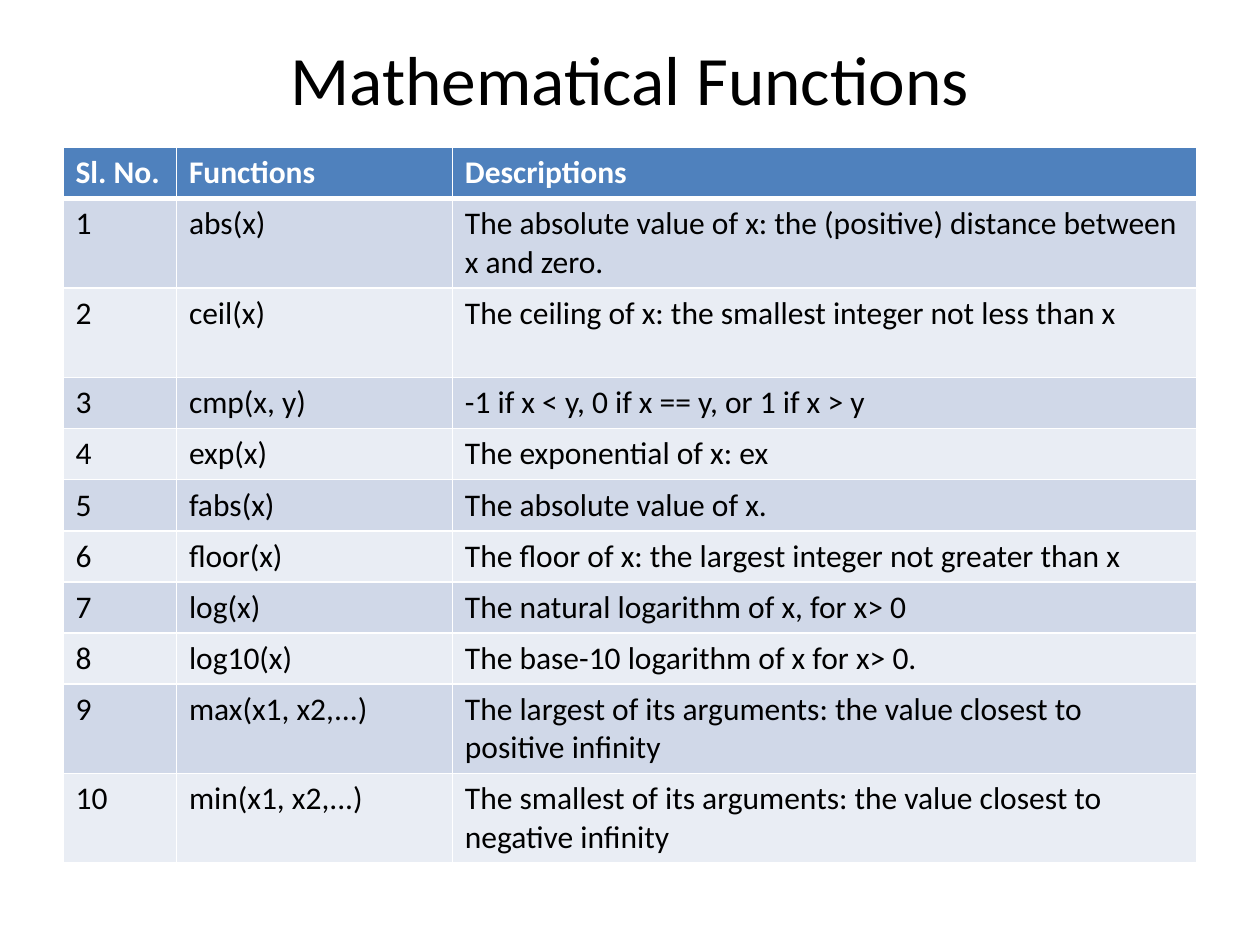
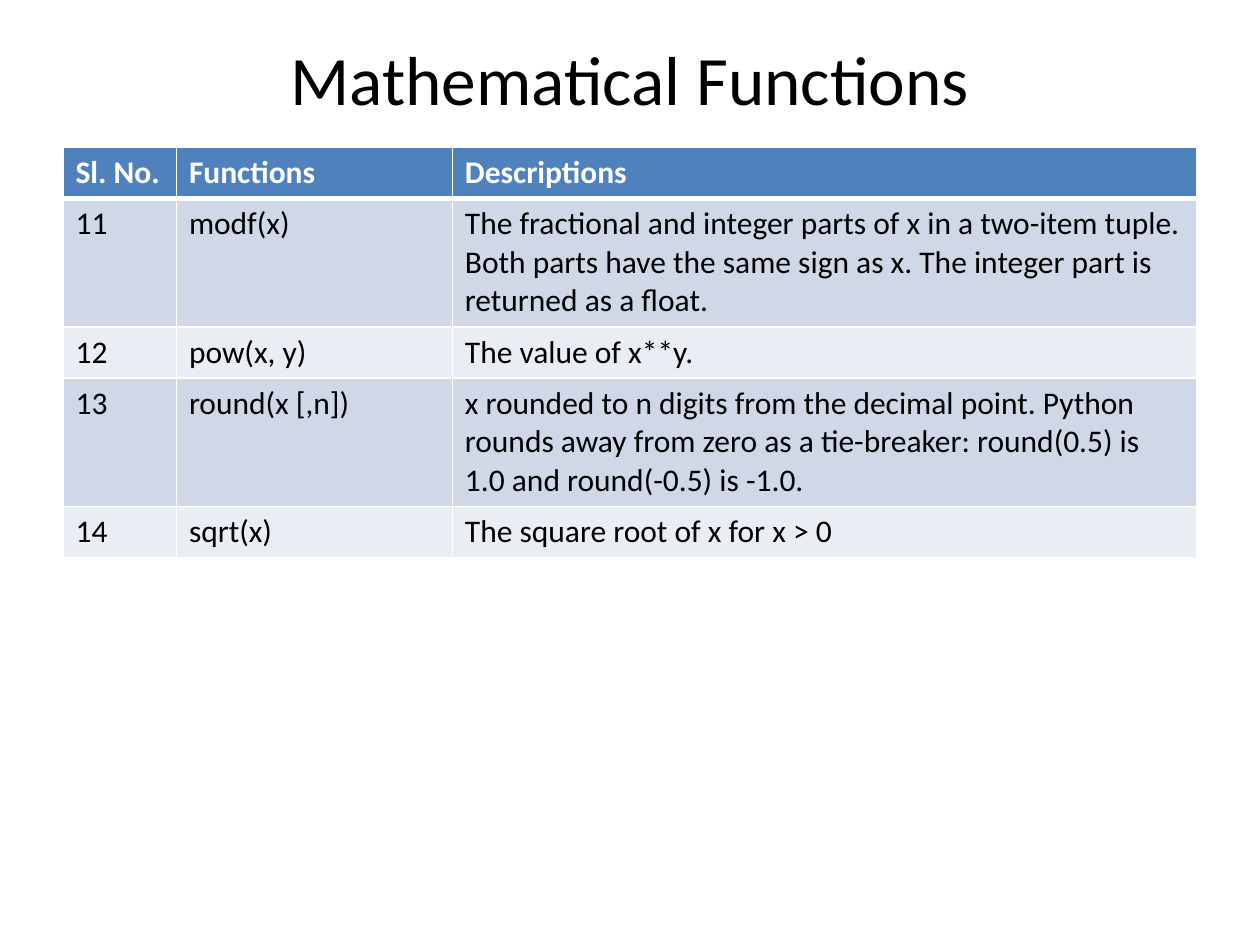
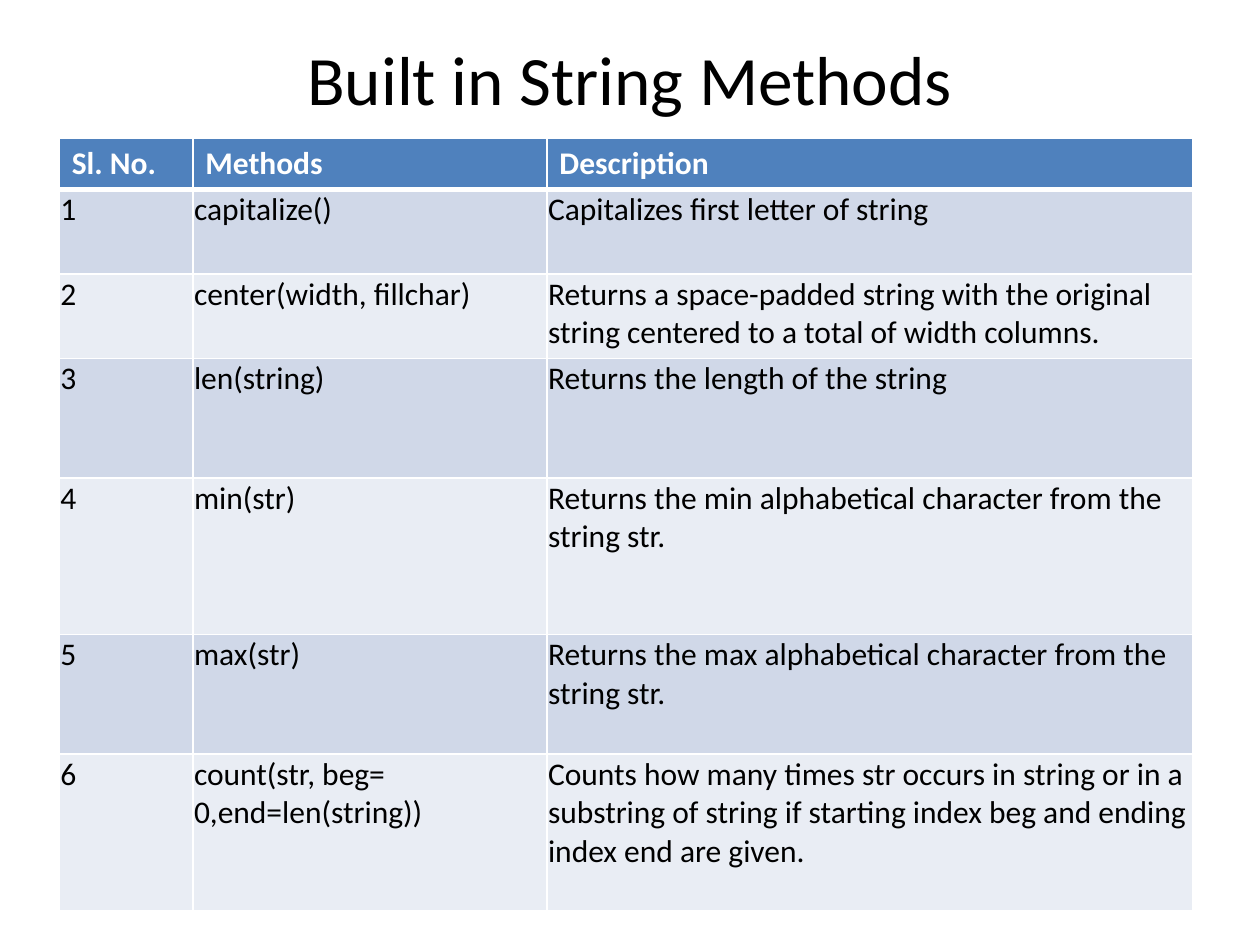
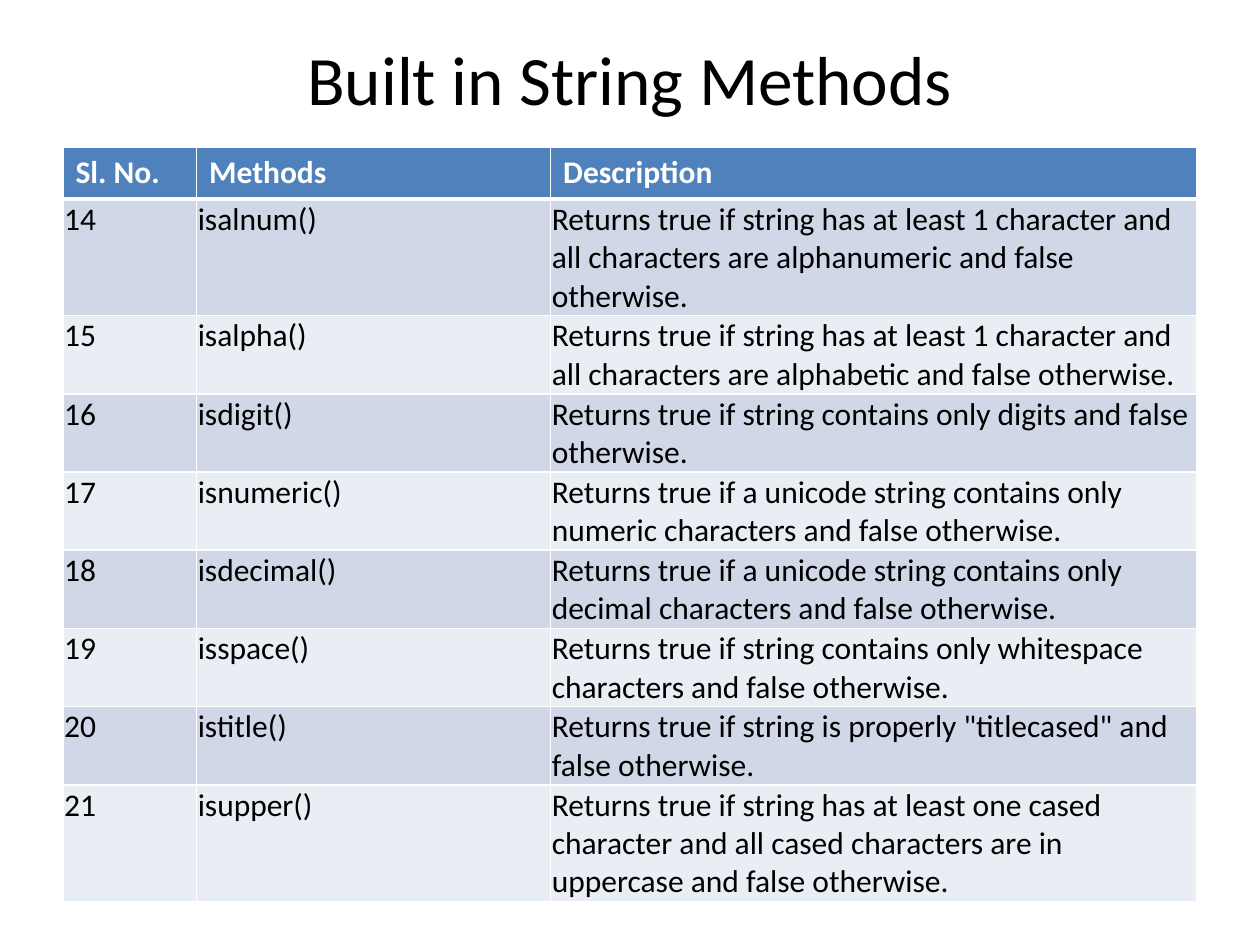
"""Build four slides listing Python's mathematical functions and string methods."""
import lxml.etree
import pptx
import pptx.dml.color
import pptx.enum.text
import pptx.oxml.ns
import pptx.util

Inches = pptx.util.Inches
Pt = pptx.util.Pt
RGBColor = pptx.dml.color.RGBColor

BLACK = RGBColor(0x00, 0x00, 0x00)
WHITE = RGBColor(0xFF, 0xFF, 0xFF)
HEADER_BLUE = RGBColor(0x4F, 0x81, 0xBD)
BANDS = (RGBColor(0xD0, 0xD8, 0xE8), RGBColor(0xE9, 0xED, 0xF4))
FONT = "Calibri"

FUNCTIONS = {
    "title": "Mathematical Functions",
    "header": ("Sl. No.", "Functions", "Descriptions"),
    "widths": (0.9, 2.19, 5.91),
    "margins": (0.1, 0.05, 0.1, 0.05),
}
METHODS = {
    "title": "Built in String Methods",
    "header": ("Sl. No.", "Methods", "Description"),
    "widths": (1.06, 2.81, 5.13),
    "margins": (0.01, 0.01, 0.01, 0),
}

SLIDES = [
    {
        "topic": FUNCTIONS,
        "corner": (0.5, 1.17),
        "first": 1,
        "heights": (0.4, 0.71, 0.71, 0.4, 0.4, 0.4, 0.4, 0.4, 0.4, 0.71, 0.71),
        "entries": [
            ("abs(x)", "The absolute value of x: the (positive) distance between x and zero."),
            ("ceil(x)", "The ceiling of x: the smallest integer not less than x"),
            ("cmp(x, y)", "-1 if x < y, 0 if x == y, or 1 if x > y"),
            ("exp(x)", "The exponential of x: ex"),
            ("fabs(x)", "The absolute value of x."),
            ("floor(x)", "The floor of x: the largest integer not greater than x"),
            ("log(x)", "The natural logarithm of x, for x> 0"),
            ("log10(x)", "The base-10 logarithm of x for x> 0."),
            ("max(x1, x2,...)", "The largest of its arguments: the value closest to positive infinity"),
            ("min(x1, x2,...)", "The smallest of its arguments: the value closest to negative infinity"),
        ],
    },
    {
        "topic": FUNCTIONS,
        "corner": (0.5, 1.17),
        "first": 11,
        "heights": (0.4, 1.02, 0.4, 1.02, 0.4),
        "entries": [
            ("modf(x)", "The fractional and integer parts of x in a two-item tuple. Both parts have "
                        "the same sign as x. The integer part is returned as a float."),
            ("pow(x, y)", "The value of x**y."),
            ("round(x [,n])", "x rounded to n digits from the decimal point. Python rounds away from "
                              "zero as a tie-breaker: round(0.5) is 1.0 and round(-0.5) is -1.0."),
            ("sqrt(x)", "The square root of x for x > 0"),
        ],
    },
    {
        "topic": METHODS,
        "corner": (0.47, 1.1),
        "first": 1,
        "heights": (0.39, 0.67, 0.67, 0.95, 1.24, 0.95, 1.24),
        "entries": [
            ("capitalize()", "Capitalizes first letter of string"),
            ("center(width, fillchar)", "Returns a space-padded string with the original string "
                                        "centered to a total of width columns."),
            ("len(string)", "Returns the length of the string"),
            ("min(str)", "Returns the min alphabetical character from the string str."),
            ("max(str)", "Returns the max alphabetical character from the string str."),
            ("count(str, beg= 0,end=len(string))",
             "Counts how many times str occurs in string or in a substring of string if starting "
             "index beg and ending index end are given."),
        ],
    },
    {
        "topic": METHODS,
        "corner": (0.5, 1.17),
        "first": 14,
        "heights": (0.41, 0.92, 0.62, 0.62, 0.62, 0.62, 0.62, 0.62, 0.92),
        "entries": [
            ("isalnum()", "Returns true if string has at least 1 character and all characters are "
                          "alphanumeric and false otherwise."),
            ("isalpha()", "Returns true if string has at least 1 character and all characters are "
                          "alphabetic and false otherwise."),
            ("isdigit()", "Returns true if string contains only digits and false otherwise."),
            ("isnumeric()", "Returns true if a unicode string contains only numeric characters and "
                            "false otherwise."),
            ("isdecimal()", "Returns true if a unicode string contains only decimal characters and "
                            "false otherwise."),
            ("isspace()", "Returns true if string contains only whitespace characters and false otherwise."),
            ("istitle()", "Returns true if string is properly \"titlecased\" and false otherwise."),
            ("isupper()", "Returns true if string has at least one cased character and all cased "
                          "characters are in uppercase and false otherwise."),
        ],
    },
]


def format_text(paragraph, size, color, bold=False):
    font = paragraph.font
    font.name, font.size, font.bold = FONT, Pt(size), bold
    font.color.rgb = color


def add_title(slide, text):
    title = slide.shapes.title
    title.left, title.top = Inches(0.5), Inches(0.3)
    title.width, title.height = Inches(9), Inches(0.64)
    frame = title.text_frame
    frame.text = text
    frame.auto_size = pptx.enum.text.MSO_AUTO_SIZE.NONE
    frame.vertical_anchor = pptx.enum.text.MSO_ANCHOR.MIDDLE
    paragraph = frame.paragraphs[0]
    paragraph.alignment = pptx.enum.text.PP_ALIGN.CENTER
    format_text(paragraph, 39.6, BLACK)


def set_borders(cell, bottom_width):
    qn = pptx.oxml.ns.qn
    properties = cell._tc.get_or_add_tcPr()
    widths = {"a:lnL": 1, "a:lnR": 1, "a:lnT": 1, "a:lnB": bottom_width}
    for position, (tag, width) in enumerate(widths.items()):
        line = lxml.etree.Element(qn(tag), w=str(Pt(width)))
        fill = lxml.etree.SubElement(line, qn("a:solidFill"))
        lxml.etree.SubElement(fill, qn("a:srgbClr"), val=str(WHITE))
        properties.insert(position, line)


def fill_cell(cell, text, fill, color, bold):
    cell.text = text
    cell.fill.solid()
    cell.fill.fore_color.rgb = fill
    format_text(cell.text_frame.paragraphs[0], 18, color, bold)
    set_borders(cell, 3 if bold else 1)


def add_listing(slide, content):
    topic = content["topic"]
    widths, heights = topic["widths"], content["heights"]
    rows = [topic["header"]]
    rows += [(str(number), *entry) for number, entry in enumerate(content["entries"], content["first"])]
    left, top = content["corner"]
    table = slide.shapes.add_table(len(rows), len(widths), Inches(left), Inches(top),
                                   Inches(sum(widths)), Inches(sum(heights))).table
    for column, width in zip(table.columns, widths):
        column.width = Inches(width)
    for index, (row, height, texts) in enumerate(zip(table.rows, heights, rows)):
        row.height = Inches(height)
        header = index == 0
        fill = HEADER_BLUE if header else BANDS[(index - 1) % 2]
        for cell, text in zip(row.cells, texts):
            fill_cell(cell, text, fill, WHITE if header else BLACK, header)
            if not header:
                (cell.margin_left, cell.margin_top,
                 cell.margin_right, cell.margin_bottom) = map(Inches, topic["margins"])


def main():
    presentation = pptx.Presentation()
    presentation.slide_width, presentation.slide_height = Inches(10), Inches(7.5)
    title_only = presentation.slide_layouts[5]
    for content in SLIDES:
        slide = presentation.slides.add_slide(title_only)
        add_title(slide, content["topic"]["title"])
        add_listing(slide, content)
    presentation.save("out.pptx")


if __name__ == "__main__":
    main()
